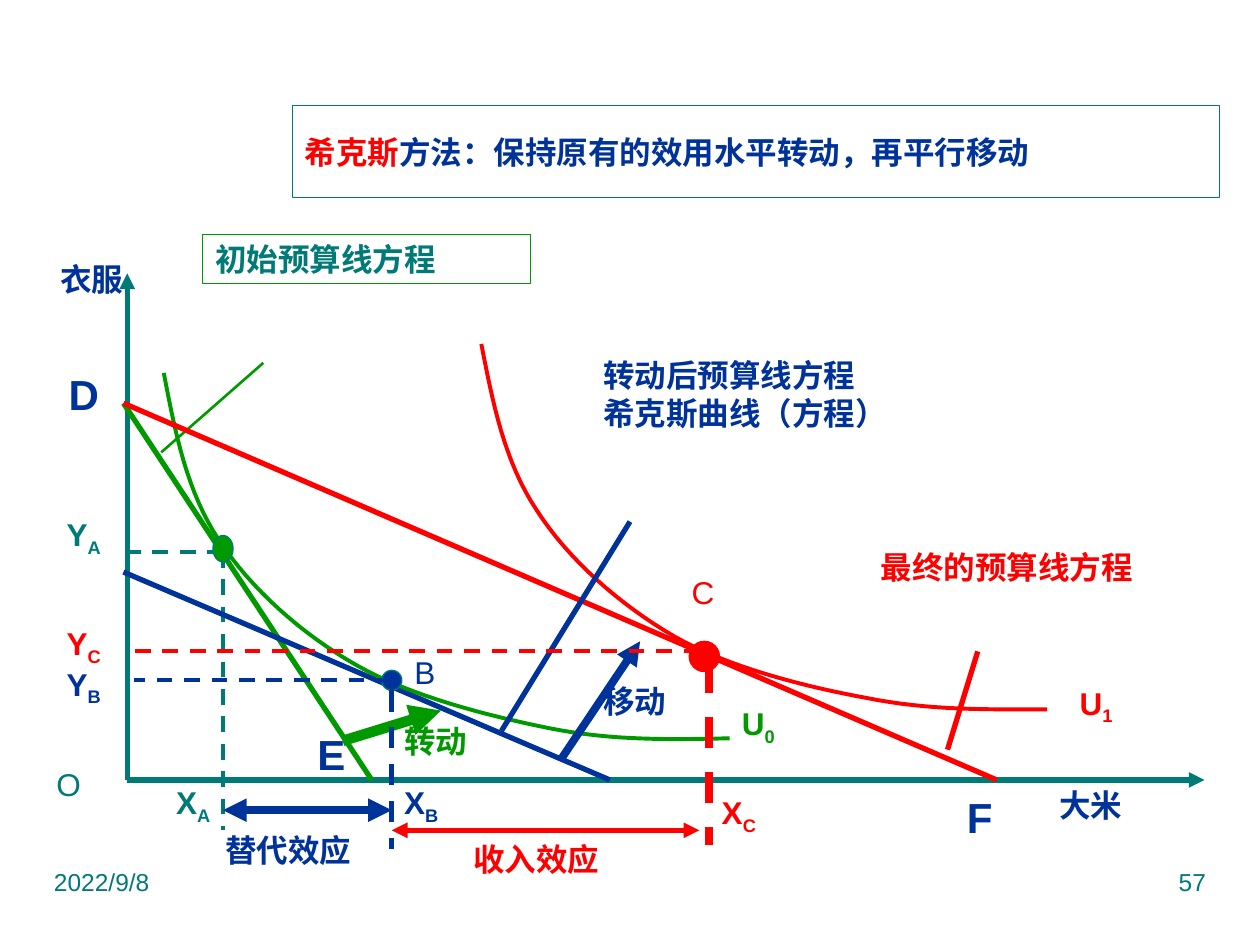
import pptx
import pptx.util
import pptx.dml.color
import pptx.enum.dml
import pptx.enum.shapes
import pptx.enum.text
import lxml.etree

Inches = pptx.util.Inches
Pt = pptx.util.Pt
RGBColor = pptx.dml.color.RGBColor
SHAPE = pptx.enum.shapes.MSO_SHAPE
ALIGN = pptx.enum.text.PP_ALIGN
ANCHOR = pptx.enum.text.MSO_ANCHOR
DASH = pptx.enum.dml.MSO_LINE.DASH
NS = "{http://schemas.openxmlformats.org/drawingml/2006/main}"

TEAL = RGBColor(0x00, 0x7A, 0x77)
GREEN = RGBColor(0x00, 0x99, 0x00)
BLUE = RGBColor(0x00, 0x33, 0x99)
RED = RGBColor(0xFF, 0x00, 0x00)

deck = pptx.Presentation()
deck.slide_width = Inches(10)
deck.slide_height = Inches(7.5)
slide = deck.slides.add_slide(deck.slide_layouts[6])
shapes = slide.shapes


def draw(start, end, color, width, dash=False, heads=()):
    line = shapes.add_connector(
        pptx.enum.shapes.MSO_CONNECTOR.STRAIGHT,
        Inches(start[0]), Inches(start[1]), Inches(end[0]), Inches(end[1]))
    line.line.color.rgb = color
    line.line.width = Pt(width)
    if dash:
        line.line.dash_style = DASH
    stroke = line._element.spPr.find(NS + "ln")
    for head in heads:
        lxml.etree.SubElement(stroke, NS + head, type="triangle")
    lxml.etree.SubElement(line._element.spPr, NS + "effectLst")


def write(shape, rows, size=18, bold=True, align=ALIGN.LEFT, anchor=ANCHOR.MIDDLE, wrap=False):
    frame = shape.text_frame
    frame.word_wrap = wrap
    frame.vertical_anchor = anchor
    for i, row in enumerate(rows):
        para = frame.add_paragraph() if i else frame.paragraphs[0]
        para.alignment = align
        for j, (text, color) in enumerate(row):
            run = para.add_run()
            run.text = text
            run.font.name = "Arial"
            run.font.size = Pt(size)
            run.font.bold = bold
            run.font.color.rgb = color
            if j and len(text) == 1:
                run.font._element.set("baseline", "-25000")


base = 6.19
tail, both = ["tailEnd"], ["headEnd", "tailEnd"]
for args in [
    ((1.01, base), (9.56, base), TEAL, 3, False, tail),
    ((1.01, base), (1.01, 2.17), TEAL, 3, False, tail),
    ((0.98, 3.2), (2.95, base), GREEN, 3),
    ((1.77, 4.38), (0.98, 4.38), TEAL, 2.25, True),
    ((1.77, 4.38), (1.77, 6.59), TEAL, 2.25, True),
    ((2.72, 5.88), (3.5, 5.64), GREEN, 6, False, tail),
    ((1.28, 3.59), (2.09, 2.88), GREEN, 1.5),
    ((0.98, 4.54), (4.84, base), BLUE, 3),
]:
    draw(*args)

curves = [
    (GREEN, [(1.3, 2.96), (1.39, 3.43), (1.48, 3.9), (1.74, 4.29), (1.99, 4.67),
             (2.39, 5.03), (2.83, 5.28), (3.27, 5.53), (3.87, 5.68), (4.36, 5.78),
             (4.86, 5.88), (5.32, 5.87), (5.79, 5.86)]),
    (RED, [(3.82, 2.73), (3.91, 3.19), (4, 3.66), (4.26, 4.05), (4.51, 4.44),
           (4.92, 4.8), (5.35, 5.05), (5.79, 5.3), (6.39, 5.45), (6.88, 5.54),
           (7.38, 5.64), (7.84, 5.63), (8.31, 5.63)]),
]
steps = 16
for color, knots in curves:
    points = [knots[0]]
    for k in range(0, len(knots) - 1, 3):
        a, b, c, d = knots[k:k + 4]
        for n in range(1, steps + 1):
            t = n / steps
            u = 1 - t
            points.append([u**3 * a[i] + 3 * u * u * t * b[i] + 3 * u * t * t * c[i] + t**3 * d[i]
                           for i in (0, 1)])
    points = [(Inches(x), Inches(y)) for x, y in points]
    pen = shapes.build_freeform(*points[0])
    pen.add_line_segments(points[1:], close=False)
    curve = pen.convert_to_shape()
    curve.shadow.inherit = False
    curve.fill.background()
    curve.line.color.rgb = color
    curve.line.width = Pt(2.25)

for x, y, w, h, fill, edge in [
    (1.69, 4.25, 0.16, 0.21, GREEN, TEAL),
    (3.03, 5.32, 0.16, 0.16, BLUE, TEAL),
    (5.47, 5.09, 0.24, 0.24, RED, RED),
]:
    dot = shapes.add_shape(SHAPE.OVAL, Inches(x), Inches(y), Inches(w), Inches(h))
    dot.shadow.inherit = False
    dot.fill.solid()
    dot.fill.fore_color.rgb = fill
    dot.line.color.rgb = edge
    dot.line.width = Pt(0.75)

for args in [
    ((3.11, 5.48), (3.11, 6.74), BLUE, 3, True),
    ((1.77, 6.43), (3.11, 6.43), BLUE, 4.5, False, both),
    ((0.98, 3.2), (7.91, base), RED, 3),
    ((5.63, 5.25), (5.63, 6.71), RED, 4.5, True),
    ((3.11, 6.59), (5.55, 6.59), RED, 3, False, both),
    ((4.45, 6.03), (5.08, 5.09), BLUE, 4.5, False, tail),
    ((3.98, 5.8), (5, 4.14), BLUE, 3),
    ((7.52, 5.95), (7.76, 5.17), RED, 3),
    ((3.11, 5.4), (1.06, 5.4), BLUE, 2.25, True),
    ((5.55, 5.17), (0.98, 5.17), RED, 2.25, True),
]:
    draw(*args)

for x, y, w, h, edge, row in [
    (2.32, 0.84, 7.36, 0.73, TEAL,
     [("希克斯", RED), ("方法：保持原有的效用水平转动，再平行移动", BLUE)]),
    (1.61, 1.86, 2.6, 0.39, GREEN, [("初始预算线方程", TEAL)]),
]:
    box = shapes.add_shape(SHAPE.RECTANGLE, Inches(x), Inches(y), Inches(w), Inches(h))
    box.shadow.inherit = False
    box.fill.background()
    box.line.color.rgb = edge
    box.line.width = Pt(0.75)
    write(box, [row])

plain = {"bold": False}
big = {"size": 24, "align": ALIGN.CENTER}
foot = {"size": 14, "bold": False, "anchor": ANCHOR.TOP, "wrap": True}
for x, y, w, h, color, rows, style in [
    (0.33, 6.83, 2.5, 0.52, TEAL, ["2022/9/8"], foot),
    (7.17, 6.83, 2.5, 0.52, TEAL, ["57"], {**foot, "align": ALIGN.RIGHT}),
    (3.11, 5.72, 0.9, 0.32, GREEN, ["转动"], {}),
    (4.69, 5.4, 0.9, 0.32, BLUE, ["移动"], {}),
    (8.31, 6.27, 1.52, 0.24, BLUE, ["大米"], {}),
    (0.38, 2.02, 0.75, 0.39, BLUE, ["衣服"], {}),
    (1.69, 6.59, 1.42, 0.31, BLUE, ["替代效应"], {}),
    (3.66, 6.66, 1.5, 0.31, RED, ["收入效应"], {}),
    (4.69, 2.73, 2.6, 0.79, BLUE, ["转动后预算线方程", "希克斯曲线（方程）"], {}),
    (6.89, 4.3, 2.6, 0.39, RED, ["最终的预算线方程"], {}),
    (3.19, 5.17, 0.39, 0.32, BLUE, ["B"], plain),
    (5.39, 4.46, 0.71, 0.47, RED, ["C"], plain),
    (0.35, 6.03, 0.54, 0.39, TEAL, ["O"], plain),
    (0.39, 2.89, 0.55, 0.47, BLUE, ["D"], big),
    (7.5, 6.25, 0.55, 0.47, BLUE, ["F"], big),
    (2.42, 5.78, 0.42, 0.4, BLUE, ["E"], big),
]:
    box = shapes.add_textbox(Inches(x), Inches(y), Inches(w), Inches(h))
    write(box, [[(row, color)] for row in rows], **style)

for x, y, color, name in [
    (1.3, 6.19, TEAL, "XA"),
    (3.11, 6.19, BLUE, "XB"),
    (5.63, 6.27, RED, "XC"),
    (0.43, 4.06, TEAL, "YA"),
    (0.43, 5.25, BLUE, "YB"),
    (0.43, 4.93, RED, "YC"),
    (5.79, 5.56, GREEN, "U0"),
    (8.47, 5.4, RED, "U1"),
]:
    box = shapes.add_textbox(Inches(x), Inches(y), Inches(0.54), Inches(0.39))
    write(box, [[(sign, color) for sign in name]])

deck.save("out.pptx")
